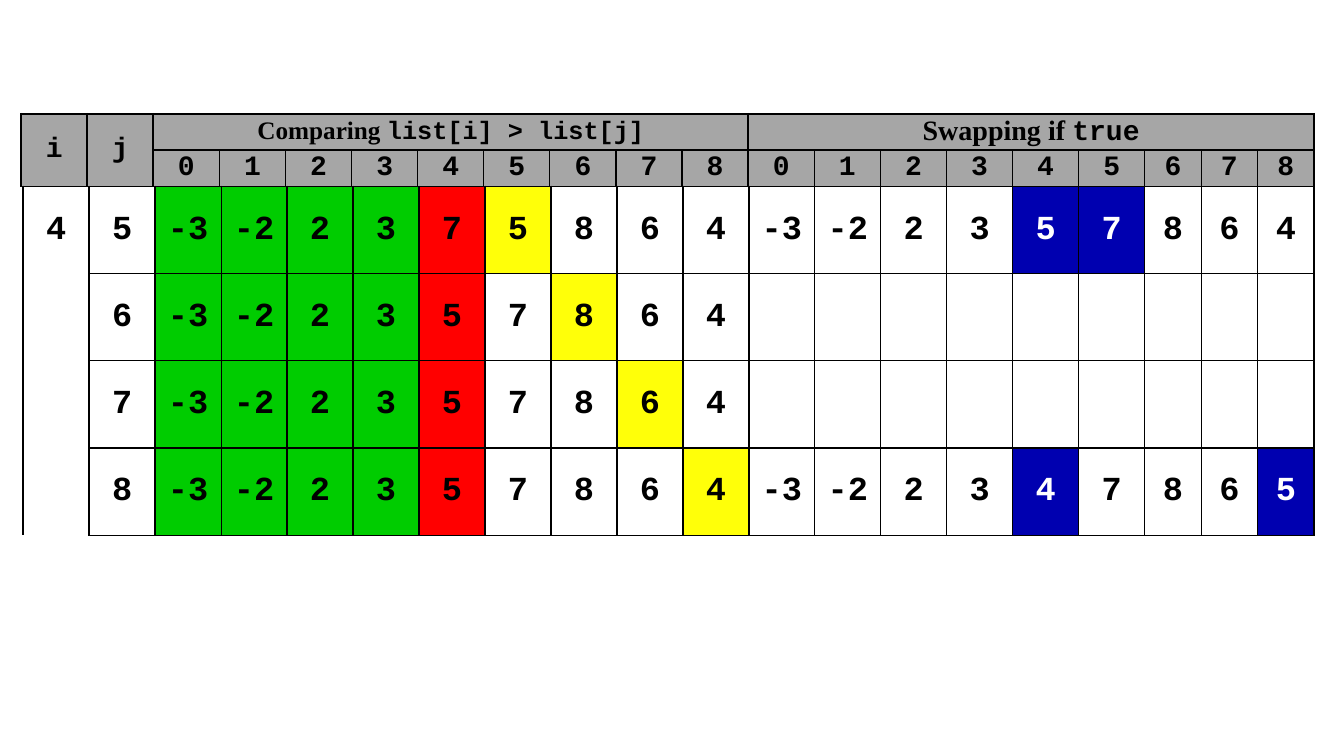
from lxml.etree import SubElement
from pptx import Presentation
from pptx.dml.color import RGBColor
from pptx.enum.text import MSO_ANCHOR, PP_ALIGN
from pptx.oxml.ns import qn
from pptx.util import Inches, Pt

COLS = 20
NARROW = 0.56
SWAP_COL = 11
THICK, THIN = 1.5, 1
THICK_LEFT, THICK_RIGHT = (0, 1, 2, SWAP_COL), (0, 1, 10, 19)
MONO, SERIF = "Courier New", "Times New Roman"
GRAY, GREEN, RED = "A6A6A6", "00CC00", "FF0000"
YELLOW, BLUE, BLACK, WHITE = "FFFF09", "0000B0", "000000", "FFFFFF"
SORTED_COUNT = 4
STEPS = [
    (5, [-3, -2, 2, 3, 7, 5, 8, 6, 4], [-3, -2, 2, 3, 5, 7, 8, 6, 4]),
    (6, [-3, -2, 2, 3, 5, 7, 8, 6, 4], None),
    (7, [-3, -2, 2, 3, 5, 7, 8, 6, 4], None),
    (8, [-3, -2, 2, 3, 5, 7, 8, 6, 4], [-3, -2, 2, 3, 4, 7, 8, 6, 5]),
]


def rgb(value):
    """Turn a hex string into a colour."""
    return RGBColor.from_string(value)


def add_text(cell, text, size=20, font=MONO, color=BLACK):
    """Append one bold run to a centred cell."""
    p = cell.text_frame.paragraphs[0]
    p.alignment = PP_ALIGN.CENTER
    r = p.add_run()
    r.text = str(text)
    r.font.size = Pt(size)
    r.font.name = font
    r.font.bold = True
    r.font.color.rgb = rgb(color)


def set_borders(cell, **widths):
    """Draw black borders; a width of zero leaves that side open."""
    tc_pr = cell._tc.get_or_add_tcPr()
    for side in "LRTB":
        width = widths[side]
        ln = SubElement(tc_pr, qn(f"a:ln{side}"), w=str(Pt(width)))
        if width:
            fill = SubElement(ln, qn("a:solidFill"))
            SubElement(fill, qn("a:srgbClr"), val=BLACK)
        else:
            SubElement(ln, qn("a:noFill"))


def style_cell(cell, col, top, bottom, fill=None, last=None):
    """Set the borders, fill, margins and anchor of a cell ending at column last."""
    last = col if last is None else last
    set_borders(cell, L=THICK if col in THICK_LEFT else THIN,
                R=THICK if last in THICK_RIGHT else THIN, T=top, B=bottom)
    if fill:
        cell.fill.solid()
        cell.fill.fore_color.rgb = rgb(fill)
    else:
        cell.fill.background()
    cell.margin_left = cell.margin_right = Inches(0.07)
    cell.margin_top = cell.margin_bottom = 0
    cell.vertical_anchor = MSO_ANCHOR.MIDDLE


def add_grid(s, rows, left, top, width, height):
    """Add a plain table whose last three columns are narrow."""
    table = s.shapes.add_table(rows, COLS, Inches(left), Inches(top),
                               Inches(width), Inches(height)).table
    table.first_row = table.horz_banding = False
    for col, column in enumerate(table.columns):
        wide = (width - 3 * NARROW) / (COLS - 3)
        column.width = Inches(wide if col < COLS - 3 else NARROW)
    return table


def add_header(s):
    """Add the two-row heading with the list indexes."""
    table = add_grid(s, 2, 0.21, 1.13, 12.83, 0.72)
    for col, name in enumerate("ij"):
        cell = table.cell(0, col)
        style_cell(cell, col, THICK, THIN, GRAY)
        add_text(cell, name)
        cell.merge(table.cell(1, col))
    for col, label, code, size in ((2, "Comparing ", "list[i] > list[j]", 18),
                                   (SWAP_COL, "Swapping if ", "true", 20)):
        cell = table.cell(0, col)
        style_cell(cell, col, THICK, THICK, GRAY, last=col + 8)
        add_text(cell, label, size=size, font=SERIF)
        add_text(cell, code, size=size)
        cell.merge(table.cell(0, col + 8))
        for index in range(9):
            cell = table.cell(1, col + index)
            style_cell(cell, col + index, THICK, THICK, GRAY)
            add_text(cell, index)


def compare_fill(index, j):
    """Choose the colour of a compared item."""
    if index < SORTED_COUNT:
        return GREEN
    return {SORTED_COUNT: RED, j: YELLOW}.get(index)


def add_steps(s):
    """Add one row for each comparison and its swap."""
    table = add_grid(s, len(STEPS), 0.23, 1.85, 12.81, 3.46)
    for row, (j, before, after) in enumerate(STEPS):
        values = ["" if row else SORTED_COUNT, j, *before, *(after or [""] * 9)]
        fills = [None, None, *(compare_fill(i, j) for i in range(9))]
        fills += [BLUE if after and i in (SORTED_COUNT, j) else None for i in range(9)]
        for col, (value, fill) in enumerate(zip(values, fills)):
            cell = table.cell(row, col)
            inner = THIN if col else 0
            style_cell(cell, col, inner if row else THICK, inner, fill)
            if value != "":
                add_text(cell, value, size=24, color=WHITE if fill == BLUE else BLACK)


def main():
    """Build and save the slide."""
    prs = Presentation()
    prs.slide_width, prs.slide_height = Inches(13.33), Inches(7.5)
    s = prs.slides.add_slide(prs.slide_layouts[6])
    add_header(s)
    add_steps(s)
    prs.save("out.pptx")


if __name__ == "__main__":
    main()
